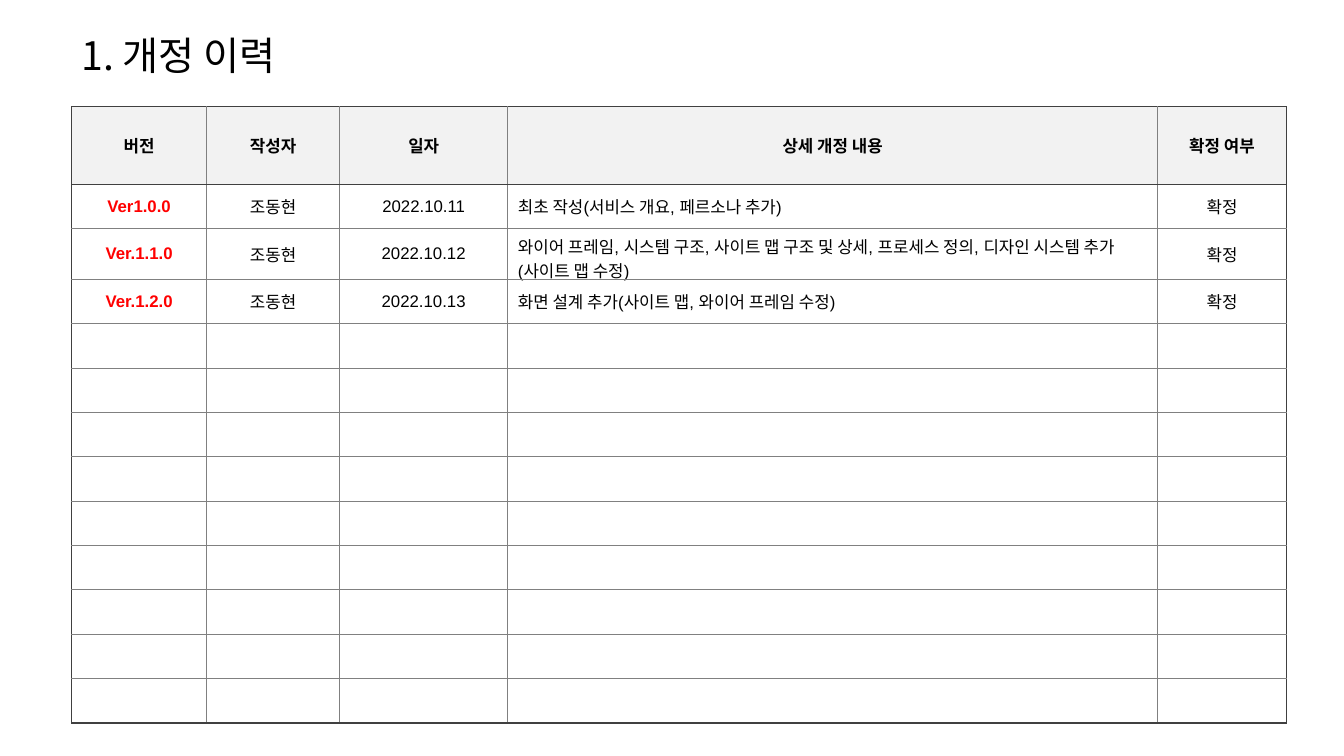
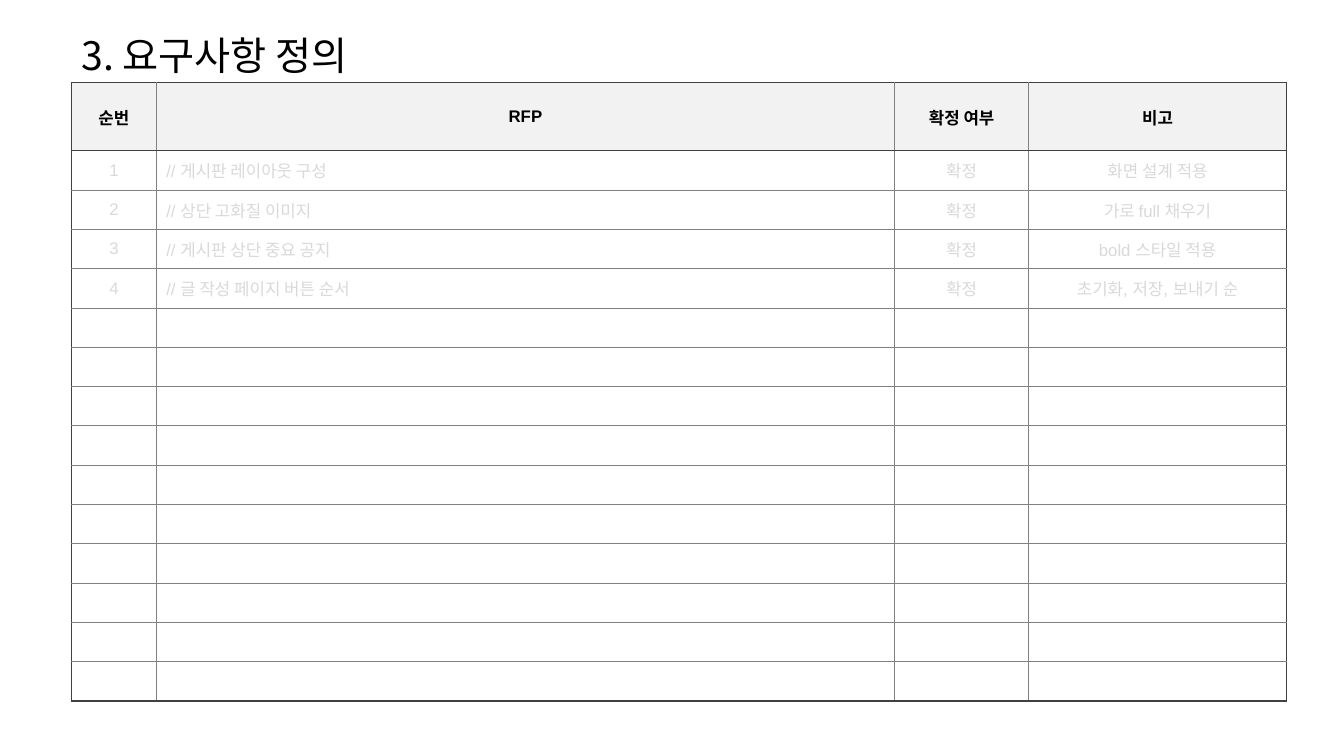
"""Build the revision history and requirements slides."""
from lxml.etree import SubElement
from pptx import Presentation
from pptx.dml.color import RGBColor
from pptx.enum.text import MSO_ANCHOR as Anchor, PP_ALIGN as Align
from pptx.oxml.ns import qn
from pptx.util import Inches, Pt

BLACK = RGBColor(0x00, 0x00, 0x00)
RED = RGBColor(0xFF, 0x00, 0x00)
PALE = RGBColor(0xD9, 0xD9, 0xD9)
HEADER_FILL = RGBColor(0xF2, 0xF2, 0xF2)
FRAME = (RGBColor(0x40, 0x40, 0x40), Pt(1))
GRID = (RGBColor(0x80, 0x80, 0x80), Pt(0.75))

WIDTH, HEIGHT = Inches(13.33), Inches(7.5)
LEFT, CONTENT_W = int(WIDTH * 0.0533), int(WIDTH * 0.904)
TITLE_FONT, TABLE_FONT = "Noto Sans CJK KR", "Arial"
TABLE_SIZE, TABLE_SPACING = Pt(12), Pt(2.4)

HISTORY = [
    ("버전", "작성자", "일자", "상세 개정 내용", "확정 여부"),
    ("Ver1.0.0", "조동현", "2022.10.11", "최초 작성(서비스 개요, 페르소나 추가)", "확정"),
    ("Ver.1.1.0", "조동현", "2022.10.12",
     "와이어 프레임, 시스템 구조, 사이트 맵 구조 및 상세, 프로세스 정의, "
     "디자인 시스템 추가(사이트 맵 수정)", "확정"),
    ("Ver.1.2.0", "조동현", "2022.10.13",
     "화면 설계 추가(사이트 맵, 와이어 프레임 수정)", "확정"),
]
REQUIREMENTS = [
    ("순번", "RFP", "확정 여부", "비고"),
    ("1", "// 게시판 레이아웃 구성", "확정", "화면 설계 적용"),
    ("2", "// 상단 고화질 이미지", "확정", "가로 full 채우기"),
    ("3", "// 게시판 상단 중요 공지", "확정", "bold 스타일 적용"),
    ("4", "// 글 작성 페이지 버튼 순서", "확정", "초기화, 저장, 보내기 순"),
]


def percent_h(share):
    return int(HEIGHT * share / 100)


def add_title(slide, text):
    sp = slide.shapes.add_textbox(LEFT, percent_h(4.4), CONTENT_W, percent_h(6.53))
    tf = sp.text_frame
    tf.word_wrap = True
    tf.vertical_anchor = Anchor.MIDDLE
    p = tf.paragraphs[0]
    p.text = text
    p.line_spacing = 0.9
    style_font(p, TITLE_FONT, Pt(28), BLACK)


def style_font(p, name, size, color, bold=False):
    font = p.font
    font.name, font.size, font.bold = name, size, bold
    font.color.rgb = color
    for r in p.runs:
        SubElement(r._r.get_or_add_rPr(), qn("a:ea"), typeface=TITLE_FONT)


def set_border(cell, side, line):
    color, width = line
    ln = SubElement(cell._tc.get_or_add_tcPr(), qn(f"a:ln{side}"), w=str(int(width)))
    fill = SubElement(ln, qn("a:solidFill"))
    SubElement(fill, qn("a:srgbClr"), val=str(color))


def set_borders(cell, row, col, last_row, last_col):
    framed = {
        "L": col == 0,
        "R": col == last_col,
        "T": row <= 1,
        "B": row in (0, last_row),
    }
    for side, outer in framed.items():
        set_border(cell, side, FRAME if outer else GRID)


def set_text(cell, text, color, bold, align):
    cell.vertical_anchor = Anchor.MIDDLE
    p = cell.text_frame.paragraphs[0]
    p.alignment = align
    if text:
        p.text = text
        p.space_before = TABLE_SPACING
        style_font(p, TABLE_FONT, TABLE_SIZE, color, bold)
    else:
        SubElement(p._p, qn("a:endParaRPr"), sz=str(int(TABLE_SIZE.pt * 100)))


def add_grid(slide, top, rows, blanks, col_weights, header_h, row_h,
             text_col, body_color=BLACK, key_color=None):
    n_rows, n_cols = len(rows) + blanks, len(col_weights)
    heights = [percent_h(header_h)] + [percent_h(row_h)] * (n_rows - 1)
    table = slide.shapes.add_table(n_rows, n_cols, LEFT, percent_h(top),
                                   CONTENT_W, sum(heights)).table
    table.first_row = table.horz_banding = False
    for column, weight in zip(table.columns, col_weights):
        column.width = int(CONTENT_W * weight / sum(col_weights))
    filled = rows + [("",) * n_cols] * blanks
    for i, (values, height) in enumerate(zip(filled, heights)):
        table.rows[i].height = height
        for j, text in enumerate(values):
            cell = table.cell(i, j)
            header = i == 0
            key = key_color is not None and j == 0 and not header
            color = BLACK if header else key_color if key else body_color
            align = Align.LEFT if j == text_col and not header else Align.CENTER
            set_borders(cell, i, j, n_rows - 1, n_cols - 1)
            if header:
                cell.fill.solid()
                cell.fill.fore_color.rgb = HEADER_FILL
            else:
                cell.fill.background()
            set_text(cell, text, color, header or key, align)


def add_titled_slide(prs, title):
    slide = prs.slides.add_slide(prs.slide_layouts[6])
    add_title(slide, title)
    return slide


def main():
    prs = Presentation()
    prs.slide_width, prs.slide_height = WIDTH, HEIGHT
    add_grid(add_titled_slide(prs, "1. 개정 이력"), top=14.13, rows=HISTORY, blanks=9,
             col_weights=(1.34, 1.32, 1.67, 6.45, 1.28), header_h=10.27, row_h=5.87,
             text_col=3, key_color=RED)
    add_grid(add_titled_slide(prs, "3. 요구사항 정의"), top=10.93, rows=REQUIREMENTS,
             blanks=10, col_weights=(0.84, 7.33, 1.33, 2.56), header_h=9.03, row_h=5.2,
             text_col=1, body_color=PALE)
    prs.save("out.pptx")


if __name__ == "__main__":
    main()
